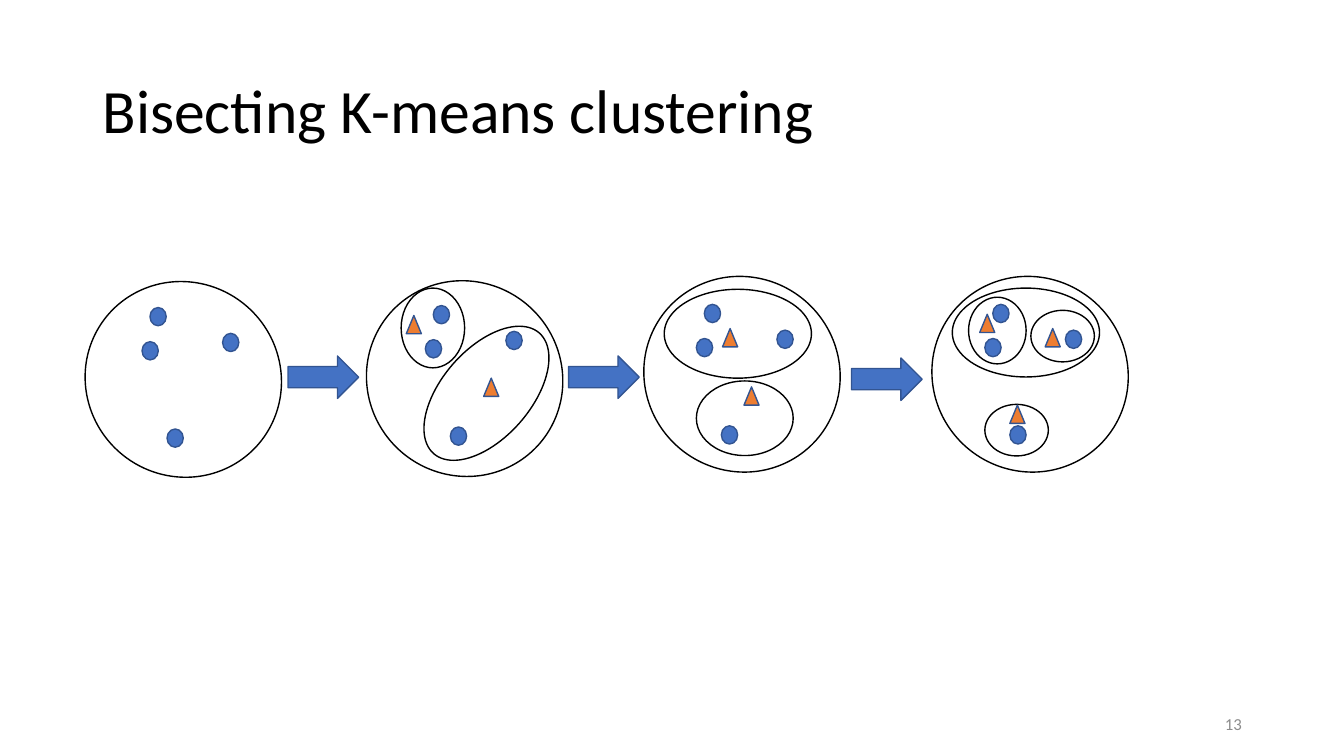
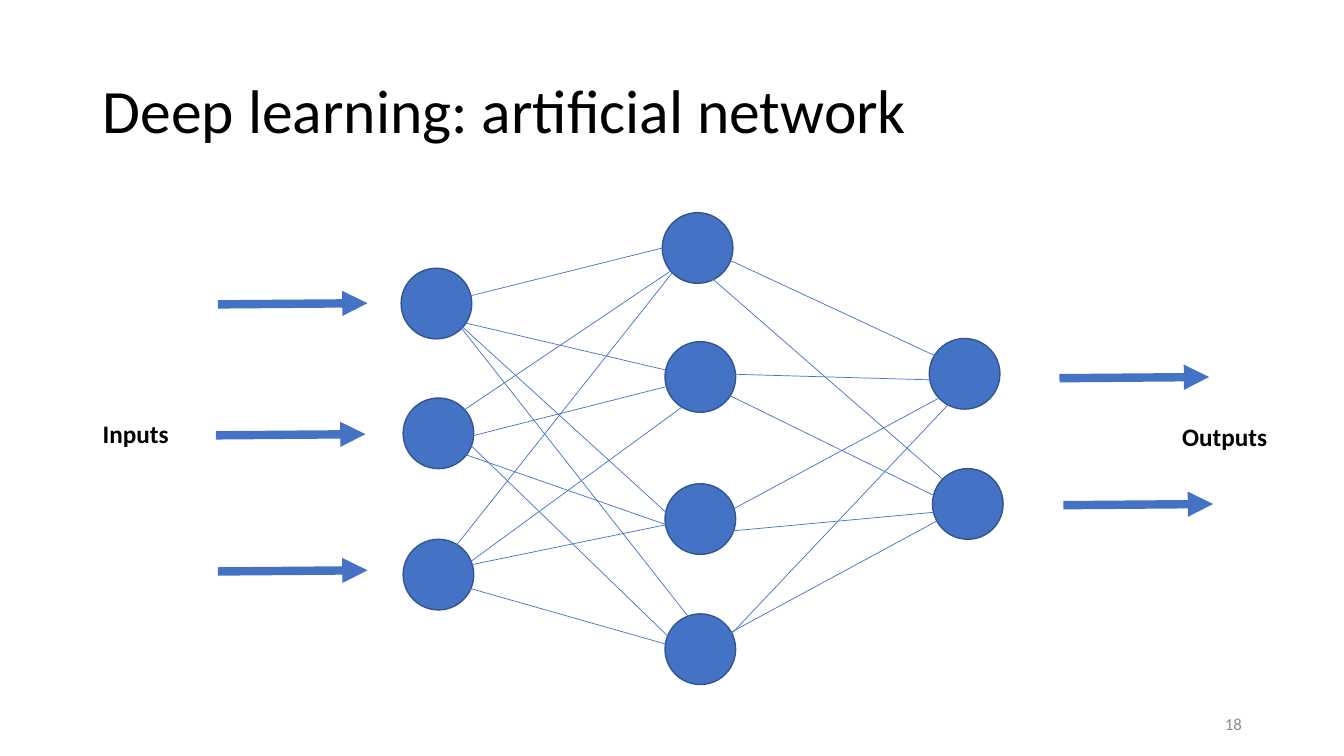
import dataclasses
import typing

import lxml.etree
import pptx
import pptx.dml.color
import pptx.enum.shapes
import pptx.enum.text
import pptx.oxml.ns
import pptx.presentation
import pptx.shapes.autoshape
import pptx.slide
import pptx.util

Cm = pptx.util.Cm
Preset = pptx.enum.shapes.MSO_SHAPE
Anchor = pptx.enum.text.MSO_ANCHOR
Align = pptx.enum.text.PP_ALIGN
qn = pptx.oxml.ns.qn


# Theme
@dataclasses.dataclass(frozen=True)
class Theme:
    font: str = "Calibri"
    text: str = "000000"
    muted: str = "8C8C8C"
    accent: str = "4472C4"
    accent_edge: str = "325491"
    centroid: str = "ED7D31"
    title_size: float = 44
    label_size: float = 18
    number_size: float = 12
    outline: float = 1
    wire: float = 0.5
    arrow: float = 6


THEME = Theme()


# Parts, all measured in centimetres
class Point(typing.NamedTuple):
    x: float
    y: float


class Box(typing.NamedTuple):
    left: float
    top: float
    width: float
    height: float
    rotation: float = 0


class Wire(typing.NamedTuple):
    start: Point
    end: Point


@dataclasses.dataclass(frozen=True)
class Stage:
    outline: Point
    first_dot: Point
    clusters: tuple[Box, ...] = ()
    centroids: tuple[Point, ...] = ()


TITLE_BOX = Box(2.34, 1.02, 29.21, 3.68)
NUMBER_BOX = Box(23.93, 17.73, 7.62, 1.02)

# Clustering stages
TILT = 311.2
DOT_OFFSETS = (Point(0, 0), Point(-0.2, 0.86), Point(1.83, 0.65), Point(0.43, 3.06))
STAGES = (
    Stage(Point(2.18, 7.06), Point(3.78, 7.75)),
    Stage(
        Point(9.27, 7.04), Point(10.92, 7.7),
        (Box(10.11, 7.26, 1.6, 2.01), Box(10.24, 8.79, 4.04, 2.24, TILT)),
        (Point(10.24, 7.95), Point(12.19, 9.53)),
    ),
    Stage(
        Point(16.26, 6.93), Point(17.75, 7.67),
        (Box(17.55, 9.6, 2.44, 1.88), Box(16.74, 7.29, 3.71, 2.24)),
        (Point(18.21, 8.28), Point(18.75, 9.75)),
    ),
    Stage(
        Point(23.52, 6.93), Point(25.02, 7.67),
        (Box(24.82, 10.19, 1.6, 1.3), Box(24, 7.26, 3.71, 2.24),
         Box(25.98, 7.82, 1.6, 1.3), Box(24.41, 7.49, 1.45, 1.68)),
        (Point(24.69, 7.92), Point(26.34, 8.28), Point(25.45, 10.21)),
    ),
)
STAGE_ARROWS = (Point(7.26, 8.97), Point(14.33, 8.97), Point(21.46, 9.02))

# Network
NODE_SIZE = 1.78
INPUT_NODES = (Point(10.11, 6.76), Point(10.16, 10.03), Point(10.16, 13.59))
HIDDEN_NODES = (Point(16.69, 5.36), Point(16.76, 8.61),
                Point(16.76, 12.19), Point(16.76, 15.47))
OUTPUT_NODES = (Point(23.42, 8.53), Point(23.5, 11.81))
ARROW_RUN = Point(3.77, -0.03)
FLOW_ARROWS = (Point(5.49, 7.67), Point(5.44, 10.97), Point(5.49, 14.4),
               Point(26.7, 9.53), Point(26.8, 12.73))
LABELS = {
    "Inputs": Box(2.34, 10.41, 2.18, 1.02),
    "Outputs": Box(29.54, 10.49, 2.67, 1.02),
}
FIRST_INPUT = Point(11.48, 8.08)
FIRST_OUTPUT = Point(24.46, 9.6)
WIRES = (
    # Input layer to hidden layer
    Wire(Point(11.07, 7.65), Point(16.69, 6.25)),
    Wire(FIRST_INPUT, Point(17.53, 9.5)),
    Wire(FIRST_INPUT, Point(17.53, 13.59)),
    Wire(FIRST_INPUT, Point(17.53, 15.77)),
    Wire(Point(10.85, 10.9), Point(17.88, 6.17)),
    Wire(Point(11.13, 11.18), Point(16.76, 9.75)),
    Wire(Point(11, 11.2), Point(17.04, 13.31)),
    Wire(Point(11.48, 10.85), Point(17.7, 16.87)),
    Wire(Point(10.9, 14.5), Point(17.12, 6.65)),
    Wire(Point(11.48, 14.43), Point(17.88, 9.75)),
    Wire(Point(11.68, 14.27), Point(17.48, 13.08)),
    Wire(Point(11.61, 14.76), Point(17.48, 16.43)),
    # Hidden layer to output layer
    Wire(Point(18.01, 6.38), Point(24.05, 9.19)),
    Wire(Point(17.5, 6.63), Point(23.75, 12.07)),
    Wire(Point(18.11, 9.42), FIRST_OUTPUT),
    Wire(Point(18.01, 13.08), FIRST_OUTPUT),
    Wire(Point(17.83, 16.61), FIRST_OUTPUT),
    Wire(Point(18.11, 9.83), Point(24.38, 12.9)),
    Wire(Point(17.78, 13.44), Point(24.38, 12.83)),
    Wire(Point(17.5, 16.43), Point(24.31, 12.75)),
)


# Drawing functions
def color(value: str) -> pptx.dml.color.RGBColor:
    return pptx.dml.color.RGBColor.from_string(value)


def add_text(
    slide: pptx.slide.Slide,
    text: str,
    box: Box,
    *,
    size: float,
    ink: str = THEME.text,
    bold: bool = False,
    align: Align = Align.LEFT,
    anchor: Anchor = Anchor.MIDDLE,
    spacing: float = 1.0,
    wrap: bool = True,
) -> None:
    shape = slide.shapes.add_textbox(*(Cm(value) for value in box[:4]))
    frame = shape.text_frame
    frame.word_wrap = wrap
    frame.vertical_anchor = anchor
    if not wrap:
        frame.auto_size = pptx.enum.text.MSO_AUTO_SIZE.SHAPE_TO_FIT_TEXT
    paragraph = frame.paragraphs[0]
    paragraph.alignment = align
    paragraph.line_spacing = spacing
    run = paragraph.add_run()
    run.text = text
    run.font.name = THEME.font
    run.font.size = pptx.util.Pt(size)
    run.font.bold = bold
    run.font.color.rgb = color(ink)


def add_figure(
    slide: pptx.slide.Slide,
    preset: Preset,
    box: Box,
    fill: str | None = THEME.accent,
    edge: str = THEME.accent_edge,
) -> None:
    shape = slide.shapes.add_shape(preset, *(Cm(value) for value in box[:4]))
    shape.rotation = box.rotation
    shape.shadow.inherit = False
    if fill is None:
        shape.fill.background()
    else:
        shape.fill.solid()
        shape.fill.fore_color.rgb = color(fill)
    shape.line.color.rgb = color(edge)
    shape.line.width = pptx.util.Pt(THEME.outline)


def add_ring(slide: pptx.slide.Slide, box: Box) -> None:
    add_figure(slide, Preset.OVAL, box, fill=None, edge=THEME.text)


def add_line(
    slide: pptx.slide.Slide, wire: Wire, width: float, arrowhead: bool = False
) -> None:
    connector = slide.shapes.add_connector(
        pptx.enum.shapes.MSO_CONNECTOR.STRAIGHT,
        *(Cm(value) for value in (*wire.start, *wire.end)),
    )
    connector.line.color.rgb = color(THEME.accent)
    connector.line.width = pptx.util.Pt(width)
    properties = connector.element.spPr
    if arrowhead:
        outline = properties.find(qn("a:ln"))
        lxml.etree.SubElement(outline, qn("a:tailEnd"), type="triangle")
    lxml.etree.SubElement(properties, qn("a:effectLst"))


def add_slide(
    presentation: pptx.presentation.Presentation, title: str, number: int
) -> pptx.slide.Slide:
    slide = presentation.slides.add_slide(presentation.slide_layouts[6])
    add_text(slide, title, TITLE_BOX, size=THEME.title_size, spacing=0.9)
    add_text(slide, str(number), NUMBER_BOX, size=THEME.number_size,
             ink=THEME.muted, align=Align.RIGHT)
    return slide


# Slides
def add_clustering_slide(presentation: pptx.presentation.Presentation) -> None:
    slide = add_slide(presentation, "Bisecting K-means clustering", 13)
    for stage in STAGES:
        add_ring(slide, Box(*stage.outline, 4.88, 5, TILT))
        for cluster in stage.clusters:
            add_ring(slide, cluster)
        for offset in DOT_OFFSETS:
            dot = Box(stage.first_dot.x + offset.x, stage.first_dot.y + offset.y,
                      0.41, 0.46)
            add_figure(slide, Preset.OVAL, dot)
        for centroid in stage.centroids:
            add_figure(slide, Preset.ISOSCELES_TRIANGLE, Box(*centroid, 0.38, 0.46),
                       fill=THEME.centroid)
    for corner in STAGE_ARROWS:
        add_figure(slide, Preset.RIGHT_ARROW, Box(*corner, 1.78, 1.07))


def add_network_slide(presentation: pptx.presentation.Presentation) -> None:
    slide = add_slide(presentation, "Deep learning: artificial network", 18)
    for node in INPUT_NODES + HIDDEN_NODES + OUTPUT_NODES:
        add_figure(slide, Preset.OVAL, Box(*node, NODE_SIZE, NODE_SIZE))
    for wire in WIRES:
        add_line(slide, wire, THEME.wire)
    for start in FLOW_ARROWS:
        end = Point(start.x + ARROW_RUN.x, start.y + ARROW_RUN.y)
        add_line(slide, Wire(start, end), THEME.arrow, arrowhead=True)
    for text, box in LABELS.items():
        add_text(slide, text, box, size=THEME.label_size, bold=True,
                 anchor=Anchor.TOP, wrap=False)


def main() -> None:
    presentation = pptx.Presentation()
    presentation.slide_width = Cm(33.87)
    presentation.slide_height = Cm(19.05)
    add_clustering_slide(presentation)
    add_network_slide(presentation)
    presentation.save("out.pptx")


if __name__ == "__main__":
    main()
